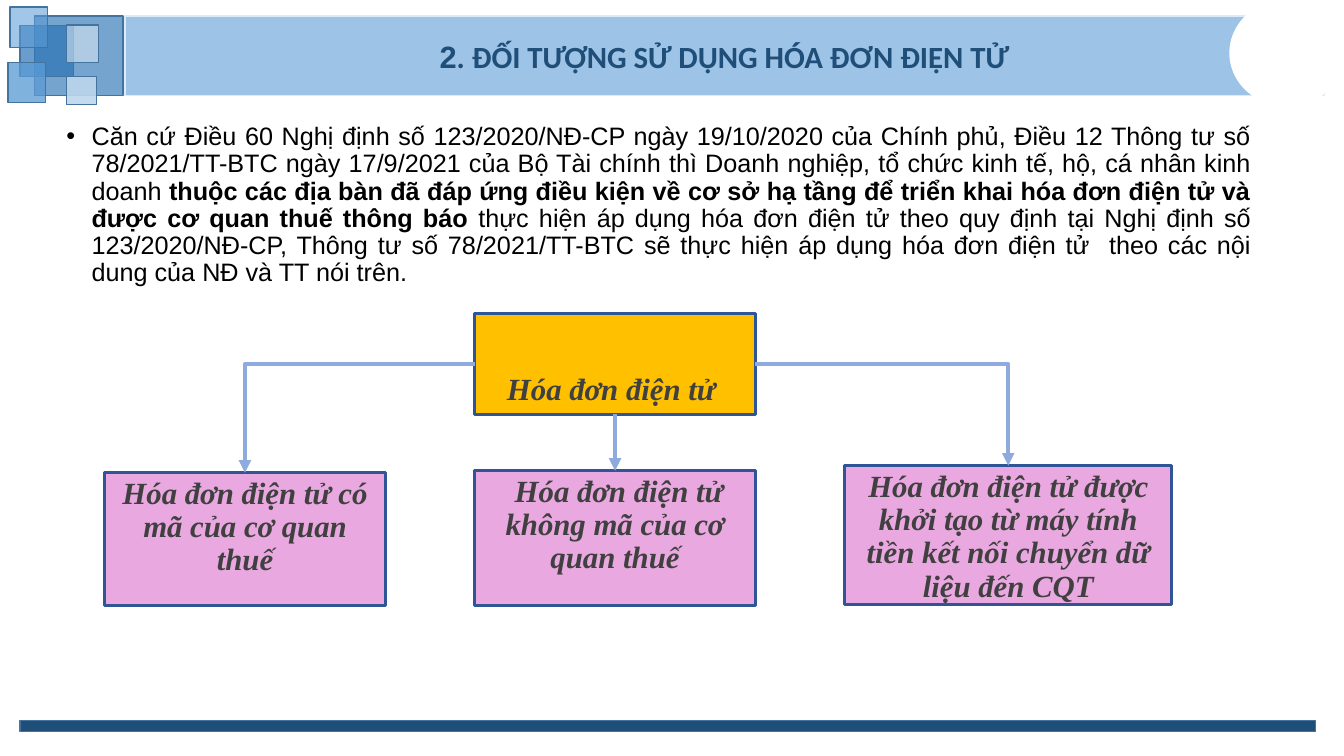
import pptx
import pptx.dml.color
import pptx.enum.dml
import pptx.enum.shapes
import pptx.enum.text
import pptx.oxml
import pptx.oxml.ns
import pptx.util

Inches = pptx.util.Inches
Pt = pptx.util.Pt
Shapes = pptx.enum.shapes.MSO_SHAPE
Connectors = pptx.enum.shapes.MSO_CONNECTOR
Align = pptx.enum.text.PP_ALIGN
Anchor = pptx.enum.text.MSO_ANCHOR
qn = pptx.oxml.ns.qn

# Content: runs are (text, font format)
TITLE_FONT = {"size": Pt(22), "bold": True, "color": "1F4E79"}
TITLE = [
    ("2", {**TITLE_FONT, "name": "Arial"}),
    (". ĐỐI TƯỢNG SỬ DỤNG HÓA ĐƠN ĐIỆN TỬ", {**TITLE_FONT, "name": "Calibri"}),
]
TITLE_BAR = (1.24, 0.16, 11.89, 0.79)

BODY_FONT = {"size": Pt(18), "name": "Arial", "color": "000000"}
BODY = [
    ("Căn cứ Điều 60 Nghị định số 123/2020/NĐ-CP ngày 19/10/2020 của Chính phủ, "
     "Điều 12 Thông tư số 78/2021/TT-BTC ngày 17/9/2021 của Bộ Tài chính thì "
     "Doanh nghiệp, tổ chức kinh tế, hộ, cá nhân kinh doanh ", BODY_FONT),
    ("thuộc các địa bàn đã đáp ứng điều kiện về cơ sở hạ tầng để triển khai "
     "hóa đơn điện tử và được cơ quan thuế thông báo", {**BODY_FONT, "bold": True}),
    (" thực hiện áp dụng hóa đơn điện tử theo quy định tại Nghị định số "
     "123/2020/NĐ-CP, Thông tư số 78/2021/TT-BTC sẽ thực hiện áp dụng hóa đơn "
     "điện tử  theo các nội dung của NĐ và TT nói trên.", BODY_FONT),
]
BODY_BOX = (0.56, 1.18, 11.95, 2.35)

# Decorative squares: box, fill, opacity in percent
SQUARES = [
    ((0.34, 0.16, 0.88, 0.79), "2E75B6", 66),
    ((0.2, 0.25, 0.53, 0.51), "2E75B6", 71),
    ((0.1, 0.07, 0.37, 0.4), "5B9BD5", 57),
    ((0.08, 0.62, 0.37, 0.4), "5B9BD5", 77),
    ((0.66, 0.76, 0.3, 0.28), "BDD7EE", 89),
    ((0.66, 0.25, 0.32, 0.37), "DEEBF7", 56),
]
FOOTER_BAR = (0.2, 7.15, 12.85, 0.11)
CORNER_CIRCLE = (12.2, 0, 1.13, 1.05)

DIAGRAM_FONT = {"size": Pt(22), "name": "Times New Roman", "bold": True,
                "italic": True, "color": "404040"}
INVOICE = ("Hóa đơn điện tử ", (4.71, 3.11, 2.78, 1))
# Invoice types: text, box, side of the invoice box the arrow leaves from, arrow
INVOICE_TYPES = [
    ("Hóa đơn điện tử có mã của cơ quan thuế",
     (1.04, 4.69, 2.78, 1.32), 1, Connectors.ELBOW),
    (" Hóa đơn điện tử không mã của cơ quan thuế",
     (4.71, 4.67, 2.78, 1.34), 2, Connectors.STRAIGHT),
    ("Hóa đơn điện tử được khởi tạo từ máy tính tiền kết nối chuyển dữ liệu đến CQT",
     (8.38, 4.62, 3.24, 1.38), 3, Connectors.ELBOW),
]


def rgb(value):
    return pptx.dml.color.RGBColor.from_string(value)


def inches(box):
    return [Inches(length) for length in box]


def paint(shape, fill, line, width=1):
    shape.fill.solid()
    shape.fill.fore_color.rgb = rgb(fill)
    shape.line.color.rgb = rgb(line)
    shape.line.width = Pt(width)


def add_block(box, fill, line, width=1, kind=Shapes.RECTANGLE):
    shape = slide.shapes.add_shape(kind, *inches(box))
    shape.shadow.inherit = False
    paint(shape, fill, line, width)
    return shape


def write(shape, runs, anchor, **paragraph_format):
    frame = shape.text_frame
    frame.word_wrap = True
    frame.auto_size = pptx.enum.text.MSO_AUTO_SIZE.NONE
    frame.vertical_anchor = anchor
    paragraph = frame.paragraphs[0]
    for name, value in paragraph_format.items():
        setattr(paragraph, name, value)
    for text, font_format in runs:
        run = paragraph.add_run()
        run.text = text
        for name, value in font_format.items():
            if name == "color":
                run.font.color.rgb = rgb(value)
            else:
                setattr(run.font, name, value)
    return paragraph


def add_child(parent, tag, **attributes):
    child = pptx.oxml.parse_xml(f'<{tag} {pptx.oxml.ns.nsdecls("a")}/>')
    for name, value in attributes.items():
        child.set(name, value)
    parent.append(child)


def add_arrow(start, start_side, end, kind):
    arrow = slide.shapes.add_connector(kind, 0, 0, 0, 0)
    arrow.begin_connect(start, start_side)
    arrow.end_connect(end, 0)
    arrow.line.color.rgb = rgb("8FAADC")
    arrow.line.width = Pt(3)
    properties = arrow.line._get_or_add_ln().getparent()
    if kind == Connectors.ELBOW:
        properties.find(qn("a:prstGeom")).set("prst", "bentConnector2")
    add_child(properties.find(qn("a:ln")), "a:tailEnd", type="triangle")
    add_child(properties, "a:effectLst")


presentation = pptx.Presentation()
presentation.slide_width = Inches(13.33)
presentation.slide_height = Inches(7.5)
slide = presentation.slides.add_slide(presentation.slide_layouts[5])

# Title bar
title = slide.shapes.title
title.left, title.top, title.width, title.height = inches(TITLE_BAR)
paint(title, "9DC3E6", "DEEBF7")
write(title, TITLE, Anchor.MIDDLE, alignment=Align.CENTER)

# Corner squares and footer bar
for box, fill, opacity in SQUARES:
    square = add_block(box, fill, "43739E")
    color = square.fill._xPr.find(qn("a:solidFill"))[0]
    add_child(color, "a:alpha", val=str(opacity * 1000))
add_block(FOOTER_BAR, "1F4E79", "43739E")

# Bulleted paragraph
body = slide.shapes.add_textbox(*inches(BODY_BOX))
paragraph = write(body, BODY, Anchor.TOP, alignment=Align.JUSTIFY,
                  line_spacing=0.9, space_before=Pt(10))
properties = paragraph._p.get_or_add_pPr()
properties.set("marL", str(Inches(0.25)))
properties.set("indent", str(-Inches(0.25)))
add_child(properties, "a:buFont", typeface="Arial")
add_child(properties, "a:buChar", char="•")

# Invoice diagram
text, box = INVOICE
invoice = add_block(box, "FFC000", "2F5597", 2.25)
write(invoice, [(text, DIAGRAM_FONT)], Anchor.TOP, alignment=Align.CENTER,
      line_spacing=2.4, space_before=Pt(24))
for text, box, side, kind in INVOICE_TYPES:
    invoice_type = add_block(box, "EAA8E1", "2F5597", 2.25)
    write(invoice_type, [(text, DIAGRAM_FONT)], Anchor.TOP, alignment=Align.CENTER,
          line_spacing=0.9, space_before=Pt(10))
    add_arrow(invoice, side, invoice_type, kind)

# White circle cutting the end of the title bar
add_block(CORNER_CIRCLE, "FFFFFF", "FFFFFF", kind=Shapes.OVAL)

presentation.save("out.pptx")
